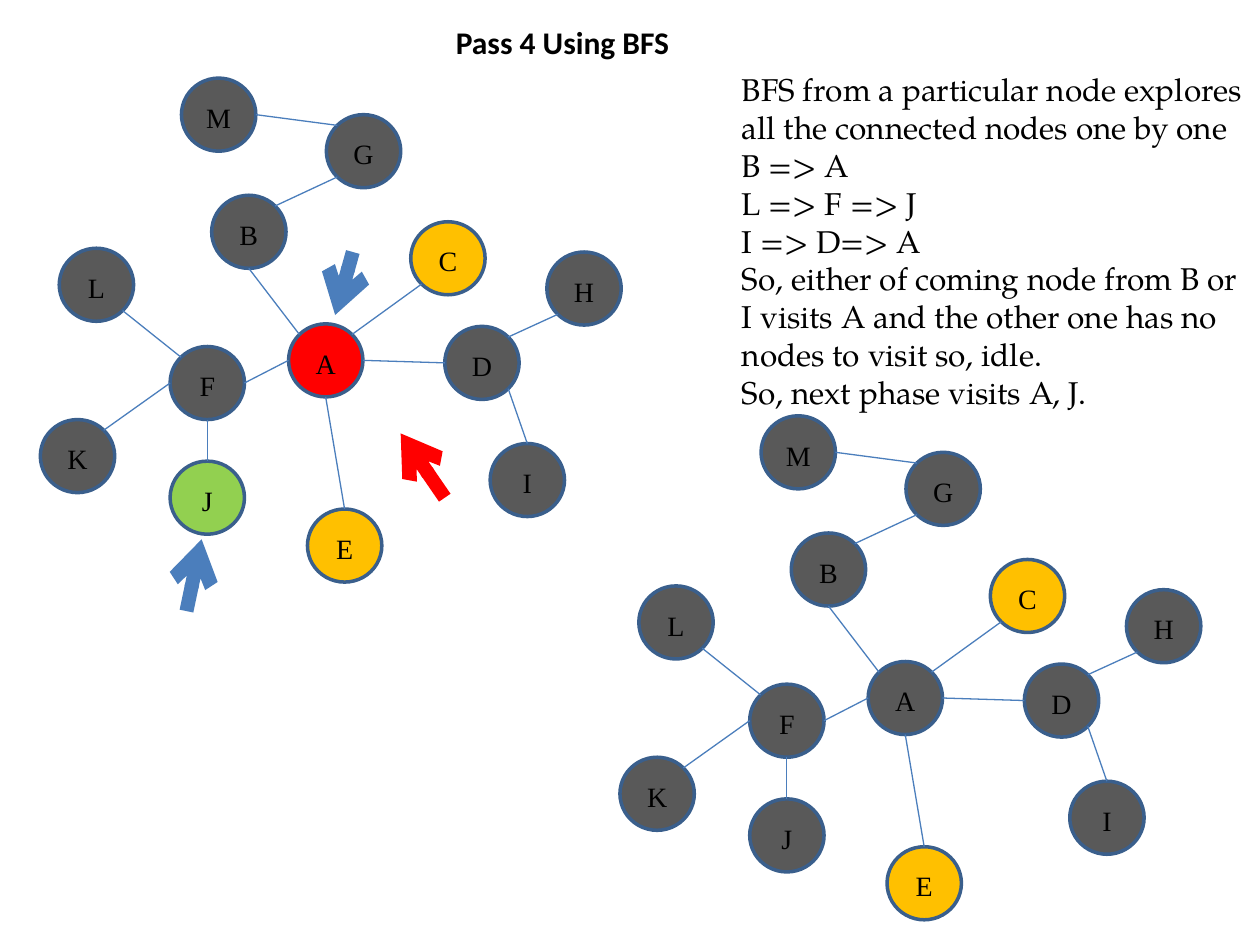
"""Build the slide showing pass 4 of a breadth-first search on two graphs."""
from math import cos, radians, sin

from lxml.etree import SubElement
from pptx import Presentation
from pptx.dml.color import RGBColor
from pptx.enum.shapes import MSO_CONNECTOR as CONNECTOR, MSO_SHAPE as SHAPE
from pptx.enum.text import MSO_ANCHOR as ANCHOR, MSO_AUTO_SIZE as AUTO_SIZE, PP_ALIGN as ALIGN
from pptx.oxml.ns import qn
from pptx.util import Inches, Pt

COLORS = {
    "visited": "595959", "waiting": "FFC000", "red": "FF0000", "green": "92D050",
    "outline": "3A5F8C", "edge": "4B7EBC", "text": "000000",
}
NODE_W, NODE_H = 0.59, 0.58
NODES = {
    "L": (0.47, 1.97), "K": (0.32, 3.33), "F": (1.35, 2.75), "B": (1.68, 1.55),
    "J": (1.35, 3.66), "A": (2.29, 2.57), "D": (3.53, 2.59), "G": (2.59, 0.91),
    "E": (2.44, 4.04), "I": (3.89, 3.52), "C": (3.26, 1.76), "H": (4.34, 2.0),
    "M": (1.44, 0.62),
}
# Each end is a node and its connection site, counted counterclockwise from the top.
EDGES = ["A1 B4", "A7 C3", "A2 F6", "A4 E0", "A6 D2", "D5 I0",
         "F4 J0", "F2 K7", "F1 L5", "B7 G3", "D7 H3", "M6 G1"]
WAITING = {"C": "waiting", "E": "waiting"}
GRAPHS = [
    (0, 0, {**WAITING, "A": "red", "J": "green"}),
    (4.6, 2.68, WAITING),
]
POINTERS = [
    ((2.8, 2.0), (2.66, 2.5), "edge"),
    ((1.48, 4.85), (1.6, 4.28), "edge"),
    ((3.53, 3.95), (3.18, 3.44), "red"),
]
NOTES = [
    "BFS from a particular node explores all the connected nodes one by one",
    "B => A",
    "L => F => J",
    "I => D=> A",
    "So, either of coming node from B or I visits A and the other one has no nodes to visit so, idle.",
    "So, next phase visits A, J.",
]


def style_text(paragraph, font_name, size, bold=False):
    font = paragraph.runs[0].font
    font.name, font.size, font.bold = font_name, Pt(size), bold
    font.color.rgb = RGBColor.from_string(COLORS["text"])


def add_line(shapes, start, end, color, width):
    line = shapes.add_connector(CONNECTOR.STRAIGHT, *map(Inches, start + end))
    line.line.color.rgb = RGBColor.from_string(COLORS[color])
    line.line.width = Pt(width)
    SubElement(line._element.spPr, qn("a:effectLst"))
    return line


prs = Presentation()
prs.slide_width, prs.slide_height = Inches(10), Inches(7.5)
slide = prs.slides.add_slide(prs.slide_layouts[6])

for dx, dy, highlights in GRAPHS:
    graph = slide.shapes.add_group_shape().shapes
    for letter, (x, y) in NODES.items():
        node = graph.add_shape(SHAPE.OVAL, Inches(x + dx), Inches(y + dy),
                               Inches(NODE_W), Inches(NODE_H))
        node.shadow.inherit = False
        node.fill.solid()
        node.fill.fore_color.rgb = RGBColor.from_string(COLORS[highlights.get(letter, "visited")])
        node.line.color.rgb = RGBColor.from_string(COLORS["outline"])
        node.line.width = Pt(2)
        frame = node.text_frame
        frame.text = letter
        frame.vertical_anchor = ANCHOR.MIDDLE
        frame.margin_left = frame.margin_right = Inches(0.08)
        frame.margin_top = frame.margin_bottom = Inches(0.04)
        label = frame.paragraphs[0]
        label.alignment = ALIGN.CENTER
        label.line_spacing = 1.15
        label.space_after = Pt(10)
        style_text(label, "Times New Roman", 16)

    for edge in EDGES:
        ends = []
        for letter, site in edge.split():
            x, y = NODES[letter]
            angle = radians(45 * int(site))
            ends.append((x + dx + NODE_W / 2 * (1 - sin(angle)),
                         y + dy + NODE_H / 2 * (1 - cos(angle))))
        add_line(graph, *ends, "edge", 0.75)

for start, end, color in POINTERS:
    pointer = add_line(slide.shapes, start, end, color, 8)
    SubElement(pointer.line._get_or_add_ln(), qn("a:tailEnd"), type="arrow")

title = slide.shapes.add_textbox(Inches(3.51), Inches(0.13), Inches(1.91), Inches(0.4)).text_frame
title.text = "Pass 4 Using BFS"
title.word_wrap = False
title.auto_size = AUTO_SIZE.SHAPE_TO_FIT_TEXT
title.paragraphs[0].alignment = ALIGN.CENTER
style_text(title.paragraphs[0], "Calibri", 18, bold=True)

notes = slide.shapes.add_textbox(Inches(5.79), Inches(0.51), Inches(4.17), Inches(2.83)).text_frame
notes.text = "\n".join(NOTES)
notes.word_wrap = True
notes.auto_size = AUTO_SIZE.SHAPE_TO_FIT_TEXT
for paragraph in notes.paragraphs:
    style_text(paragraph, "TeX Gyre Pagella", 18)

prs.save("out.pptx")
